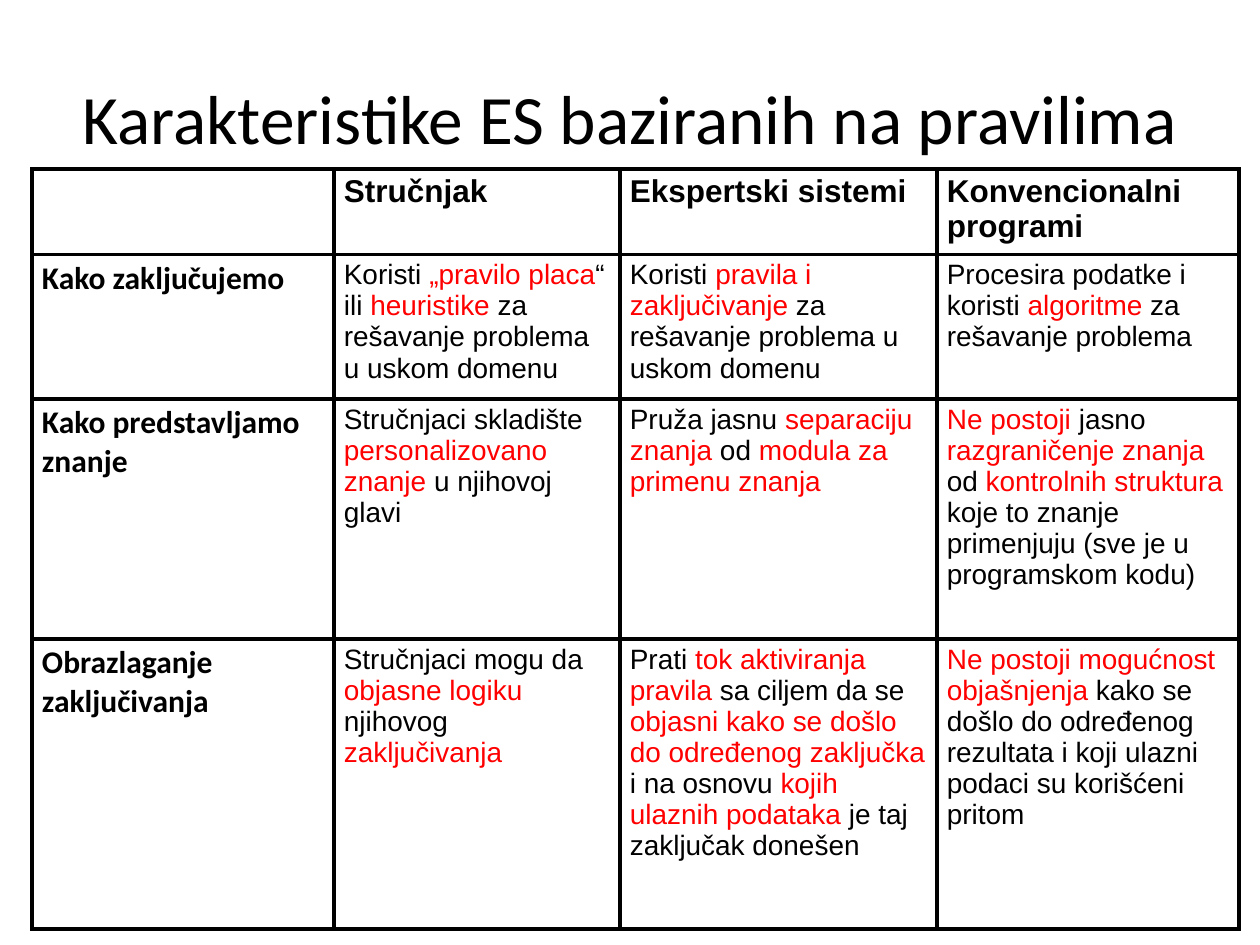
from dataclasses import dataclass

from lxml import etree
from pptx import Presentation
from pptx.dml.color import RGBColor
from pptx.enum.text import MSO_ANCHOR, PP_ALIGN
from pptx.oxml.ns import qn
from pptx.util import Pt

EMU_PER_PX = 914400 / 126
CENTER = PP_ALIGN.CENTER
LEFT = PP_ALIGN.LEFT
MIDDLE = MSO_ANCHOR.MIDDLE
COLORS = {"text": "000000", "accent": "FF0000", "border": "000000"}
BORDER_WIDTH = Pt(2.25)
COLUMN_WIDTHS = [302, 286, 317, 302]
ROW_HEIGHTS = [83, 142, 240, 290]
CELL_MARGINS = {"margin_left": 10, "margin_right": 10, "margin_top": 5, "margin_bottom": 5}
ACCENT_MARK = "|"


@dataclass(frozen=True)
class TextStyle:
    font: str
    size: float
    bold: bool = False


TITLE = TextStyle("Calibri", 39.6)
COLUMN_HEADING = TextStyle("Arial", 18, True)
ROW_HEADING = TextStyle("Calibri", 18, True)
BODY = TextStyle("Arial", 16)

# Passages between two marks are set in the accent colour.
TABLE_TEXT = [
    ["", "Stručnjak", "Ekspertski sistemi", "Konvencionalni programi"],
    [
        "Kako zaključujemo",
        "Koristi |„pravilo placa|“ ili |heuristike |za rešavanje problema u uskom domenu",
        "Koristi |pravila i zaključivanje| za rešavanje problema u uskom domenu",
        "Procesira podatke i koristi |algoritme| za rešavanje problema",
    ],
    [
        "Kako predstavljamo znanje",
        "Stručnjaci skladište |personalizovano znanje |u njihovoj glavi",
        "Pruža jasnu |separaciju znanja |od |modula za primenu znanja|",
        "|Ne postoji |jasno |razgraničenje znanja| od |kontrolnih struktura| "
        "koje to znanje primenjuju (sve je u programskom kodu)",
    ],
    [
        "Obrazlaganje zaključivanja",
        "Stručnjaci mogu da |objasne logiku| njihovog |zaključivanja|",
        "Prati |tok aktiviranja pravila |sa ciljem da se "
        "|objasni kako se došlo do određenog zaključka| i na osnovu "
        "|kojih ulaznih podataka |je taj zaključak donešen",
        "|Ne postoji mogućnost objašnjenja| kako se došlo do određenog "
        "rezultata i koji ulazni podaci su korišćeni pritom",
    ],
]


def px(value: int) -> int:
    return round(value * EMU_PER_PX)


def write_text(paragraph, text: str, style: TextStyle, alignment=LEFT) -> None:
    """Write text as runs, with marked passages in the accent colour."""
    paragraph.alignment = alignment
    for index, passage in enumerate(text.split(ACCENT_MARK)):
        if not passage:
            continue
        run = paragraph.add_run()
        run.text = passage
        font_values = {"name": style.font, "size": Pt(style.size), "bold": style.bold}
        for name, value in font_values.items():
            setattr(run.font, name, value)
        color = COLORS["accent" if index % 2 else "text"]
        run.font.color.rgb = RGBColor.from_string(color)


def add_borders(cell) -> None:
    properties = cell._tc.get_or_add_tcPr()
    for index, side in enumerate(("lnL", "lnR", "lnT", "lnB")):
        line = etree.Element(qn(f"a:{side}"), w=str(BORDER_WIDTH))
        fill = etree.SubElement(line, qn("a:solidFill"))
        etree.SubElement(fill, qn("a:srgbClr"), val=COLORS["border"])
        properties.insert(index, line)


def add_title(slide, text: str) -> None:
    box = slide.shapes.add_textbox(px(63), px(38), px(1134), px(157))
    frame = box.text_frame
    frame.word_wrap = True
    frame.vertical_anchor = MIDDLE
    write_text(frame.paragraphs[0], text, TITLE, CENTER)


def cell_style(row: int, column: int) -> TextStyle:
    if row == 0:
        return COLUMN_HEADING
    return ROW_HEADING if column == 0 else BODY


def add_comparison_table(slide) -> None:
    table = slide.shapes.add_table(
        len(ROW_HEIGHTS), len(COLUMN_WIDTHS), px(32), px(169),
        px(sum(COLUMN_WIDTHS)), px(sum(ROW_HEIGHTS)),
    ).table
    table.first_row = table.horz_banding = False
    for column, width in zip(table.columns, COLUMN_WIDTHS):
        column.width = px(width)
    for row, height in zip(table.rows, ROW_HEIGHTS):
        row.height = px(height)
    for row_index, texts in enumerate(TABLE_TEXT):
        for column_index, text in enumerate(texts):
            cell = table.cell(row_index, column_index)
            for name, margin in CELL_MARGINS.items():
                setattr(cell, name, px(margin))
            cell.fill.background()
            add_borders(cell)
            style = cell_style(row_index, column_index)
            write_text(cell.text_frame.paragraphs[0], text, style)


def main() -> None:
    presentation = Presentation()
    presentation.slide_width = px(1260)
    presentation.slide_height = px(945)
    slide = presentation.slides.add_slide(presentation.slide_layouts[6])
    add_title(slide, "Karakteristike ES baziranih na pravilima")
    add_comparison_table(slide)
    presentation.save("out.pptx")


if __name__ == "__main__":
    main()
